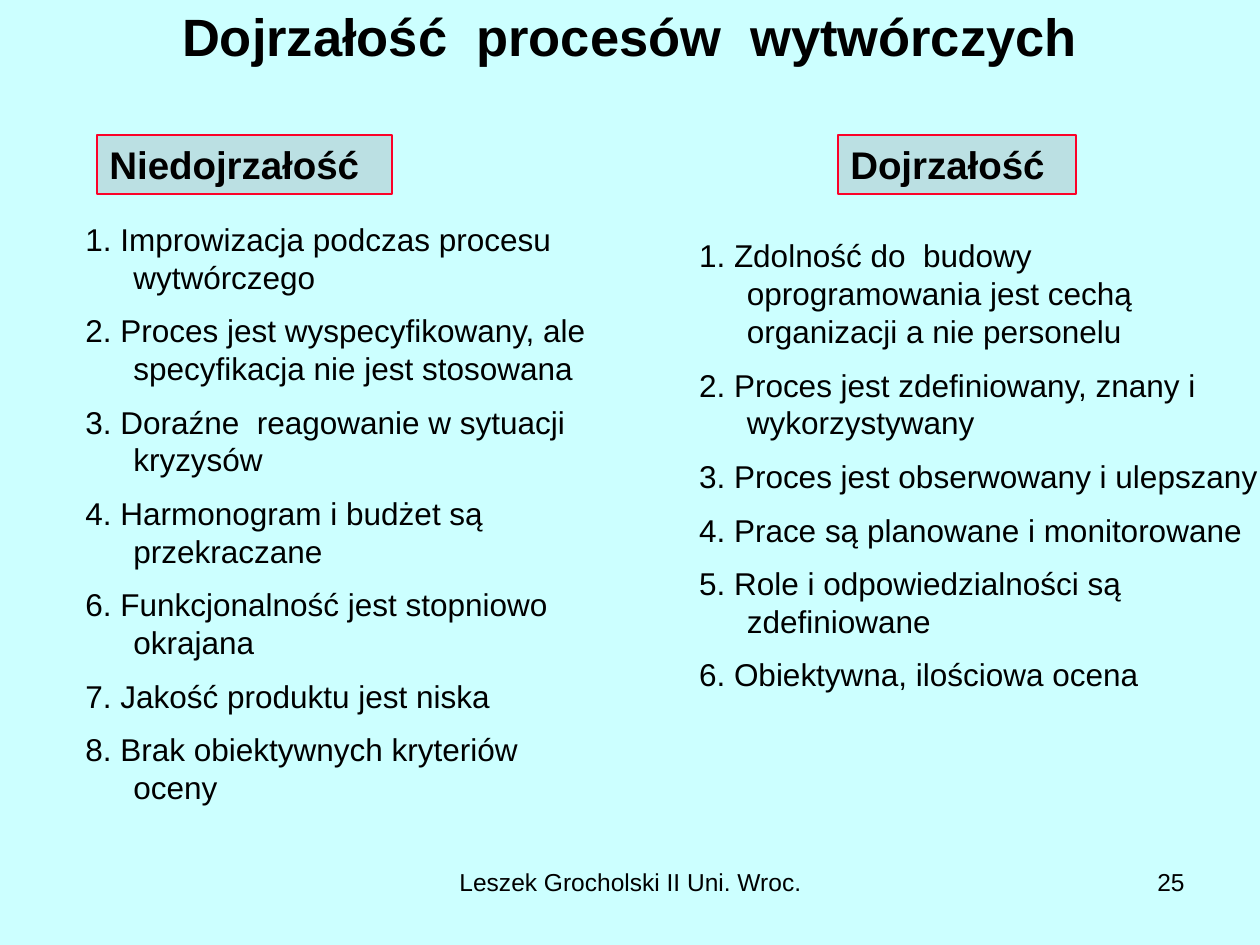
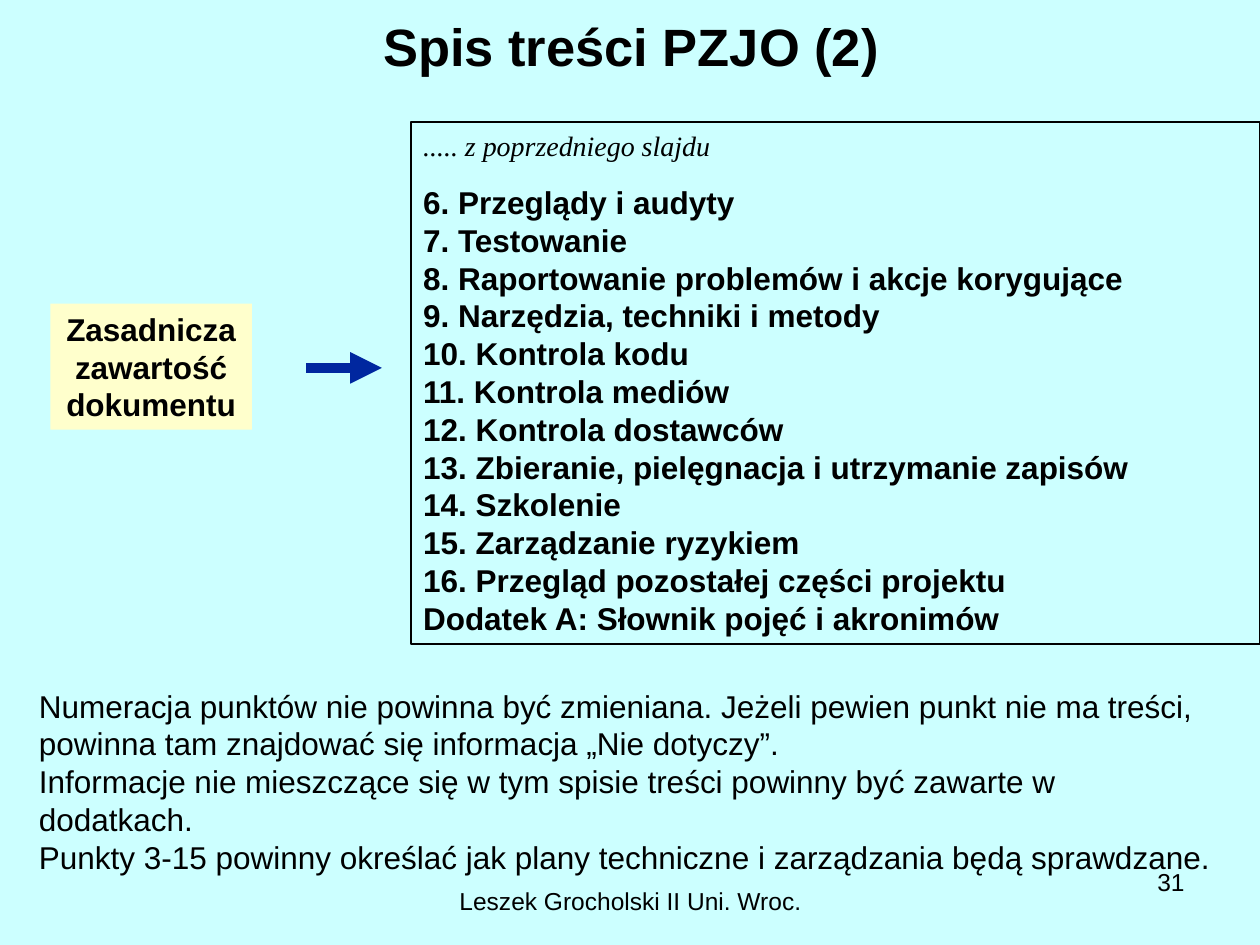
from lxml.etree import SubElement
from pptx import Presentation
from pptx.dml.color import RGBColor
from pptx.enum.shapes import MSO_CONNECTOR as Connector, MSO_SHAPE as Shape
from pptx.enum.text import MSO_ANCHOR as Anchor, MSO_AUTO_SIZE as AutoSize, PP_ALIGN as Align
from pptx.oxml.ns import qn
from pptx.util import Inches, Pt

COLORS = {
    "background": "CCFFFF",
    "text": "000000",
    "heading_fill": "BBE0E3",
    "heading_line": "FC0128",
    "label_fill": "FFFFCC",
    "arrow": "00279F",
}
SANS, SERIF = "Arial", "Times New Roman"
FOOTER = "Leszek Grocholski II Uni. Wroc."
HANGING_INDENT = 0.38

IMMATURE = [
    "1. Improwizacja podczas procesu wytwórczego",
    "2. Proces jest wyspecyfikowany, ale specyfikacja nie jest stosowana",
    "3. Doraźne  reagowanie w sytuacji kryzysów",
    "4. Harmonogram i budżet są przekraczane",
    "6. Funkcjonalność jest stopniowo okrajana",
    "7. Jakość produktu jest niska",
    "8. Brak obiektywnych kryteriów oceny",
]
MATURE = [
    "1. Zdolność do  budowy oprogramowania jest cechą organizacji a nie personelu",
    "2. Proces jest zdefiniowany, znany i wykorzystywany",
    "3. Proces jest obserwowany i ulepszany",
    "4. Prace są planowane i monitorowane",
    "5. Role i odpowiedzialności są zdefiniowane",
    "6. Obiektywna, ilościowa ocena",
]
CONTENTS = [
    "6. Przeglądy i audyty",
    "7. Testowanie",
    "8. Raportowanie problemów i akcje korygujące",
    "9. Narzędzia, techniki i metody",
    "10. Kontrola kodu",
    "11. Kontrola mediów",
    "12. Kontrola dostawców",
    "13. Zbieranie, pielęgnacja i utrzymanie zapisów",
    "14. Szkolenie",
    "15. Zarządzanie ryzykiem",
    "16. Przegląd pozostałej części projektu",
    "Dodatek A: Słownik pojęć i akronimów",
]
REMARKS = [
    "Numeracja punktów nie powinna być zmieniana. Jeżeli pewien punkt nie ma treści,",
    "powinna tam znajdować się informacja „Nie dotyczy”.",
    "Informacje nie mieszczące się w tym spisie treści powinny być zawarte w dodatkach.",
    "Punkty 3-15 powinny określać jak plany techniczne i zarządzania będą sprawdzane.",
]


def color(name):
    return RGBColor.from_string(COLORS[name])


def write_lines(frame, lines, size=18, bold=False, align=Align.LEFT):
    """Fill an empty frame with one paragraph per line."""
    for index, line in enumerate(lines):
        paragraph = frame.add_paragraph() if index else frame.paragraphs[0]
        paragraph.alignment = align
        run = paragraph.add_run()
        run.text = line
        font = run.font
        font.name, font.size, font.bold = SANS, Pt(size), bold
        font.color.rgb = color("text")


def add_text(slide, box, lines, anchor=Anchor.TOP, wrap=True, **style):
    frame = slide.shapes.add_textbox(*map(Inches, box)).text_frame
    frame.word_wrap = wrap
    frame.vertical_anchor = anchor
    write_lines(frame, lines, **style)
    return frame


def add_panel(slide, box, lines, fill, line=None, **style):
    shape = slide.shapes.add_shape(Shape.RECTANGLE, *map(Inches, box))
    shape.shadow.inherit = False
    shape.fill.solid()
    shape.fill.fore_color.rgb = color(fill)
    if line:
        shape.line.color.rgb = color(line)
        shape.line.width = Pt(1)
    else:
        shape.line.fill.background()
    frame = shape.text_frame
    frame.word_wrap = True
    frame.vertical_anchor = Anchor.TOP
    frame.auto_size = AutoSize.SHAPE_TO_FIT_TEXT
    write_lines(frame, lines, **style)
    return frame


def add_arrow(slide, left, top, length):
    arrow = slide.shapes.add_connector(
        Connector.STRAIGHT, Inches(left), Inches(top), Inches(left + length), Inches(top))
    arrow.line.color.rgb = color("arrow")
    arrow.line.width = Pt(6)
    SubElement(arrow.line._get_or_add_ln(), qn("a:tailEnd"), type="triangle")
    SubElement(arrow._element.spPr, qn("a:effectLst"))


def add_base_slide(presentation, title, title_box, number, footer_top):
    """Background, title, footer and slide number shared by all slides."""
    slide = presentation.slides.add_slide(presentation.slide_layouts[6])
    slide.background.fill.solid()
    slide.background.fill.fore_color.rgb = color("background")
    add_text(slide, (3.42, footer_top, 3.17, 0.37), [FOOTER], size=14, align=Align.CENTER)
    add_text(slide, (7.17, 6.83, 2.33, 0.52), [number], size=14, align=Align.RIGHT)
    add_text(slide, title_box, [title], anchor=Anchor.MIDDLE,
             size=30, bold=True, align=Align.CENTER)
    return slide


def add_numbered_list(slide, box, items):
    frame = add_text(slide, box, items, anchor=Anchor.MIDDLE)
    for index, paragraph in enumerate(frame.paragraphs):
        properties = paragraph._p.get_or_add_pPr()
        properties.set("marL", str(Inches(HANGING_INDENT)))
        properties.set("indent", str(-Inches(HANGING_INDENT)))
        if index:
            paragraph.space_before = Pt(9)


def add_contents_panel(slide, box):
    frame = add_panel(slide, box, ["..... z poprzedniego slajdu", *CONTENTS],
                      "background", "text", bold=True)
    lead, first_item = frame.paragraphs[:2]
    font = lead.runs[0].font
    font.name, font.size, font.bold, font.italic = SERIF, Pt(16), False, True
    first_item.space_before = Pt(12)


def build_maturity_slide(presentation):
    slide = add_base_slide(presentation, "Dojrzałość  procesów  wytwórczych",
                           (0, -0.19, 10, 0.94), "25", 6.83)
    # Lists of traits
    add_numbered_list(slide, (0.58, 0.99, 4.29, 6.16), IMMATURE)
    add_numbered_list(slide, (5.45, 0.91, 4.67, 5.56), MATURE)
    # Column headings
    for left, width, heading in ((0.77, 2.34, "Niedojrzałość"), (6.65, 1.89, "Dojrzałość")):
        add_panel(slide, (left, 1.07, width, 0.47), [heading],
                  "heading_fill", "heading_line", size=22, bold=True)


def build_contents_slide(presentation):
    slide = add_base_slide(presentation, "Spis treści PZJO (2)",
                           (0.51, -0.19, 9, 1.1), "31", 6.98)
    add_contents_panel(slide, (3.26, 0.97, 6.74, 4.14))
    # Label pointing at the contents
    add_panel(slide, (0.4, 2.41, 1.6, 1), ["Zasadnicza", "zawartość", "dokumentu"],
              "label_fill", bold=True, align=Align.CENTER)
    add_arrow(slide, 2.43, 2.92, 0.6)
    # Remarks below
    add_text(slide, (0.21, 5.4, 9.56, 1.3), REMARKS, wrap=False)


def main():
    presentation = Presentation()
    presentation.slide_width, presentation.slide_height = Inches(10), Inches(7.5)
    build_maturity_slide(presentation)
    build_contents_slide(presentation)
    presentation.save("out.pptx")


if __name__ == "__main__":
    main()
